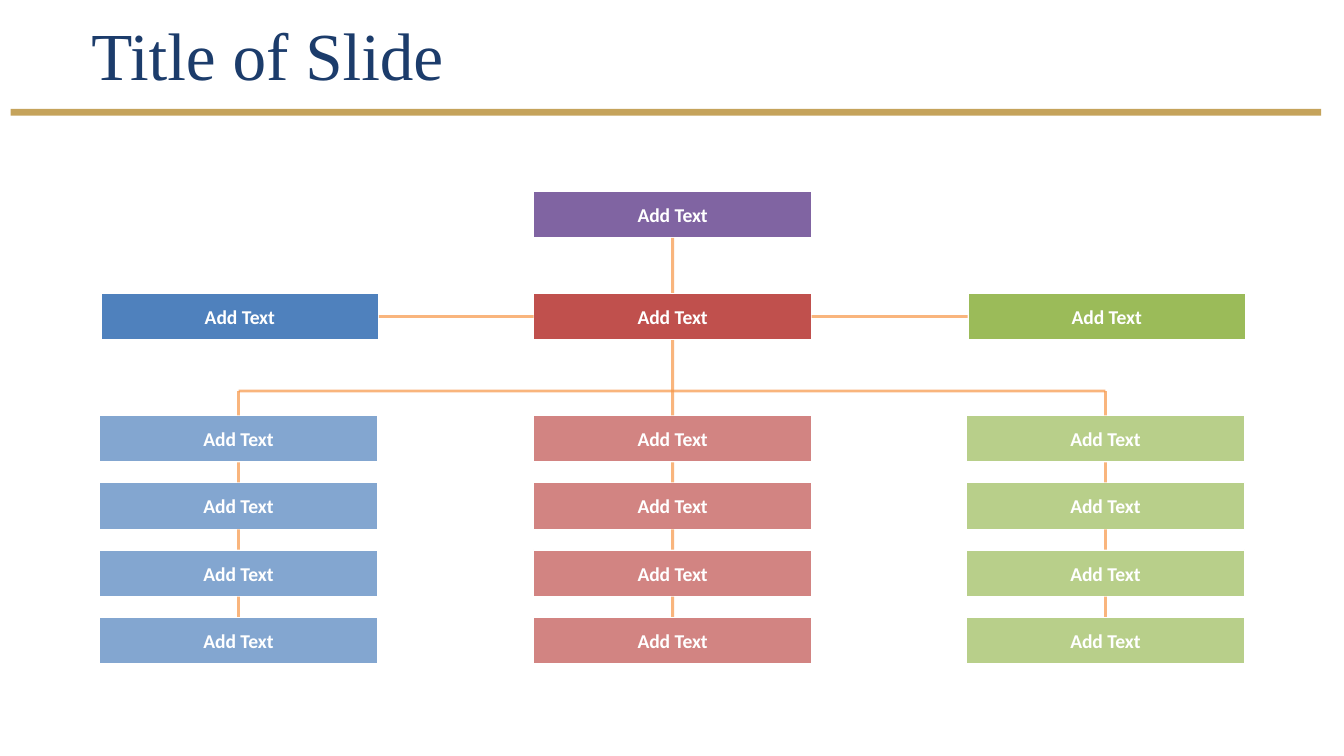
from dataclasses import dataclass
from itertools import pairwise

from lxml.etree import SubElement
from pptx import Presentation
from pptx.dml.color import RGBColor
from pptx.enum.shapes import MSO_CONNECTOR as Link, MSO_SHAPE as Form
from pptx.enum.text import MSO_ANCHOR as Anchor, PP_ALIGN as Align
from pptx.oxml.ns import qn
from pptx.slide import Slide
from pptx.util import Inches, Pt

WHITE = RGBColor(0xFF, 0xFF, 0xFF)
NAVY = RGBColor(0x1C, 0x3C, 0x6B)
GOLD = RGBColor(0xC5, 0xA3, 0x5B)
PURPLE = RGBColor(0x80, 0x64, 0xA2)
BLUE = RGBColor(0x4F, 0x81, 0xBD)
RED = RGBColor(0xC0, 0x50, 0x4D)
GREEN = RGBColor(0x9B, 0xBB, 0x59)
ORANGE = RGBColor(0xF7, 0x96, 0x46)

WIDTH, HEIGHT = 2.07, 0.35
TOP, MIDDLE, BUS = 1.42, 2.18, 2.91
ROWS = [3.09 + 0.5 * i for i in range(4)]
FADE = 70


@dataclass(frozen=True)
class Branch:
    head: float
    left: float
    color: RGBColor

    @property
    def center(self) -> float:
        return self.left + WIDTH / 2


BRANCHES = [
    Branch(0.75, 0.74, BLUE),
    Branch(3.97, 3.97, RED),
    Branch(7.2, 7.19, GREEN),
]


def fade(fill) -> None:
    color = fill._xPr.find(qn("a:solidFill"))[0]
    SubElement(color, qn("a:alpha"), val=str(FADE * 1000))


def draw_box(slide: Slide, left: float, top: float, color: RGBColor, pale: bool = False) -> None:
    box = slide.shapes.add_shape(
        Form.RECTANGLE, Inches(left), Inches(top), Inches(WIDTH), Inches(HEIGHT)
    )
    box.shadow.inherit = False
    box.fill.solid()
    box.fill.fore_color.rgb = color
    if pale:
        fade(box.fill)
    box.line.color.rgb = WHITE
    box.line.width = Pt(1)
    frame = box.text_frame
    frame.text = "Add Text"
    frame.vertical_anchor = Anchor.MIDDLE
    text = frame.paragraphs[0]
    text.alignment = Align.CENTER
    font = text.runs[0].font
    font.name, font.size, font.bold = "Calibri", Pt(10.5), True
    font.color.rgb = WHITE


def draw_line(slide: Slide, x1: float, y1: float, x2: float, y2: float) -> None:
    line = slide.shapes.add_connector(
        Link.STRAIGHT, Inches(x1), Inches(y1), Inches(x2), Inches(y2)
    )
    line.line.color.rgb = ORANGE
    line.line.width = Pt(1.5)
    fade(line.line.fill)
    SubElement(line._element.spPr, qn("a:effectLst"))


def draw_title(slide: Slide) -> None:
    rule = slide.shapes.add_shape(
        Form.RECTANGLE, Inches(0.08), Inches(0.81), Inches(9.75), Inches(0.05)
    )
    rule.shadow.inherit = False
    rule.fill.solid()
    rule.fill.fore_color.rgb = GOLD
    rule.line.fill.background()

    title = slide.shapes.title
    title.left, title.top = Inches(0.58), Inches(0.15)
    title.width, title.height = Inches(9.42), Inches(0.5)
    frame = title.text_frame
    frame.text = "Title of Slide"
    frame.vertical_anchor = Anchor.MIDDLE
    text = frame.paragraphs[0]
    text.alignment = Align.LEFT
    font = text.runs[0].font
    font.name, font.size = "Times New Roman", Pt(36)
    font.color.rgb = NAVY


def draw_chart(slide: Slide) -> None:
    first, core, last = BRANCHES
    draw_box(slide, core.head, TOP, PURPLE)
    for branch in BRANCHES:
        draw_box(slide, branch.head, MIDDLE, branch.color)
        for row in ROWS:
            draw_box(slide, branch.left, row, branch.color, pale=True)

    draw_line(slide, core.center, TOP + HEIGHT, core.center, MIDDLE)
    draw_line(slide, core.center, MIDDLE + HEIGHT, core.center, ROWS[0])
    draw_line(slide, first.center, BUS, last.center, BUS)
    for branch in (first, last):
        draw_line(slide, branch.center, BUS, branch.center, ROWS[0])
    for branch in BRANCHES:
        for upper, lower in pairwise(ROWS):
            draw_line(slide, branch.center, upper + HEIGHT, branch.center, lower)
    axis = MIDDLE + HEIGHT / 2
    for near, far in pairwise(BRANCHES):
        draw_line(slide, near.head + WIDTH, axis, far.head, axis)


def main() -> None:
    deck = Presentation()
    deck.slide_width, deck.slide_height = Inches(10), Inches(10 * 9 / 16)
    slide = deck.slides.add_slide(deck.slide_layouts[5])
    draw_title(slide)
    draw_chart(slide)
    deck.save("out.pptx")


if __name__ == "__main__":
    main()
